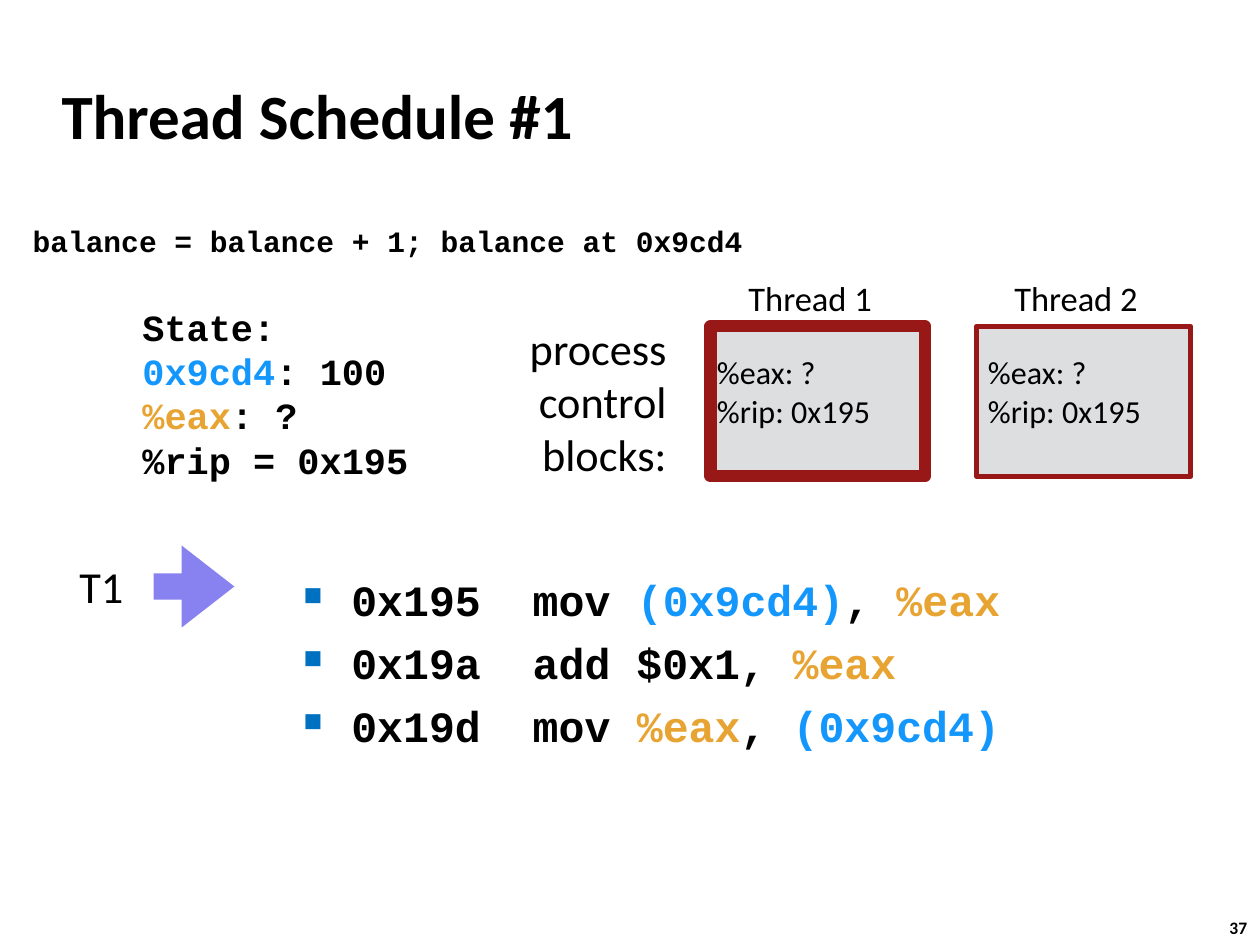
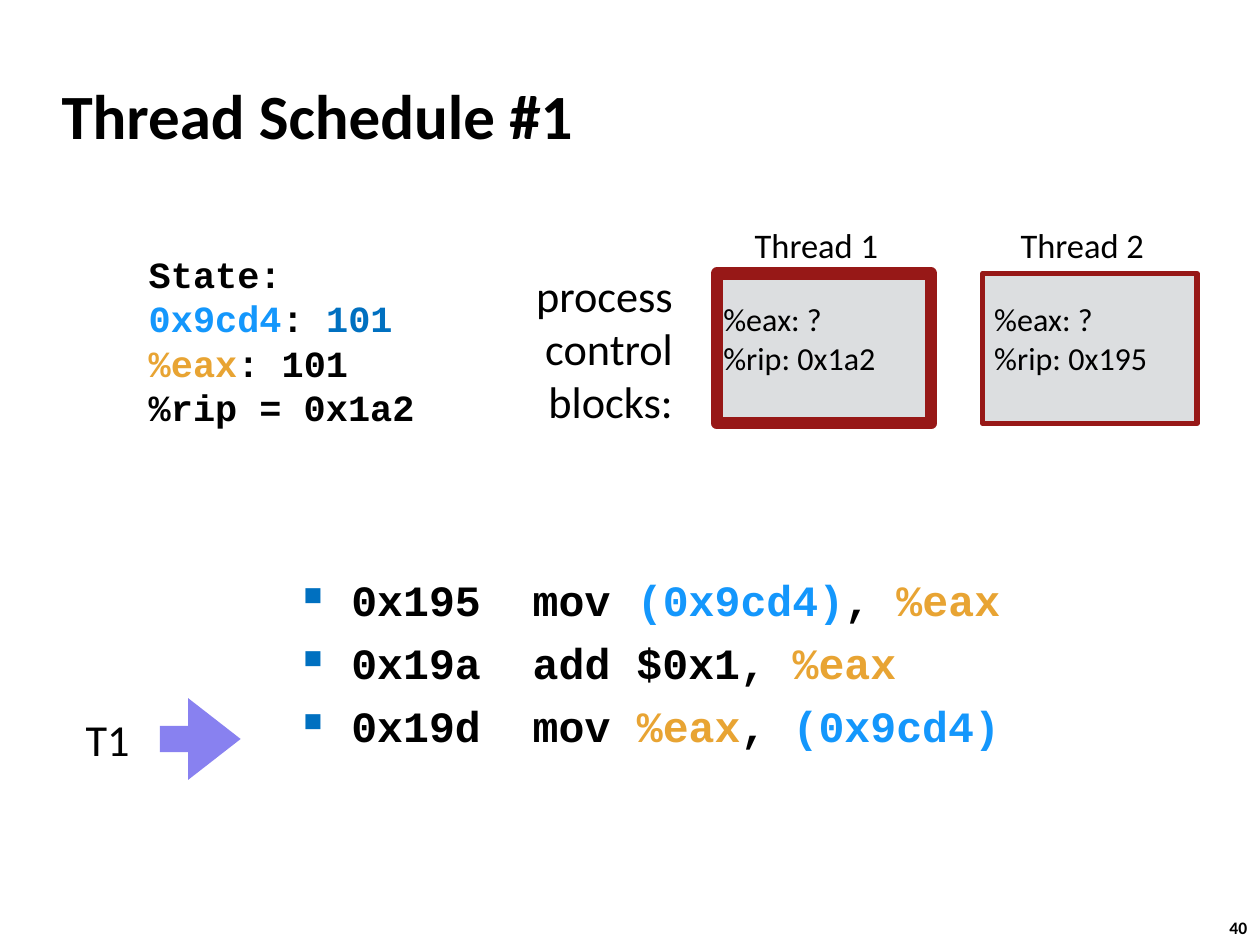
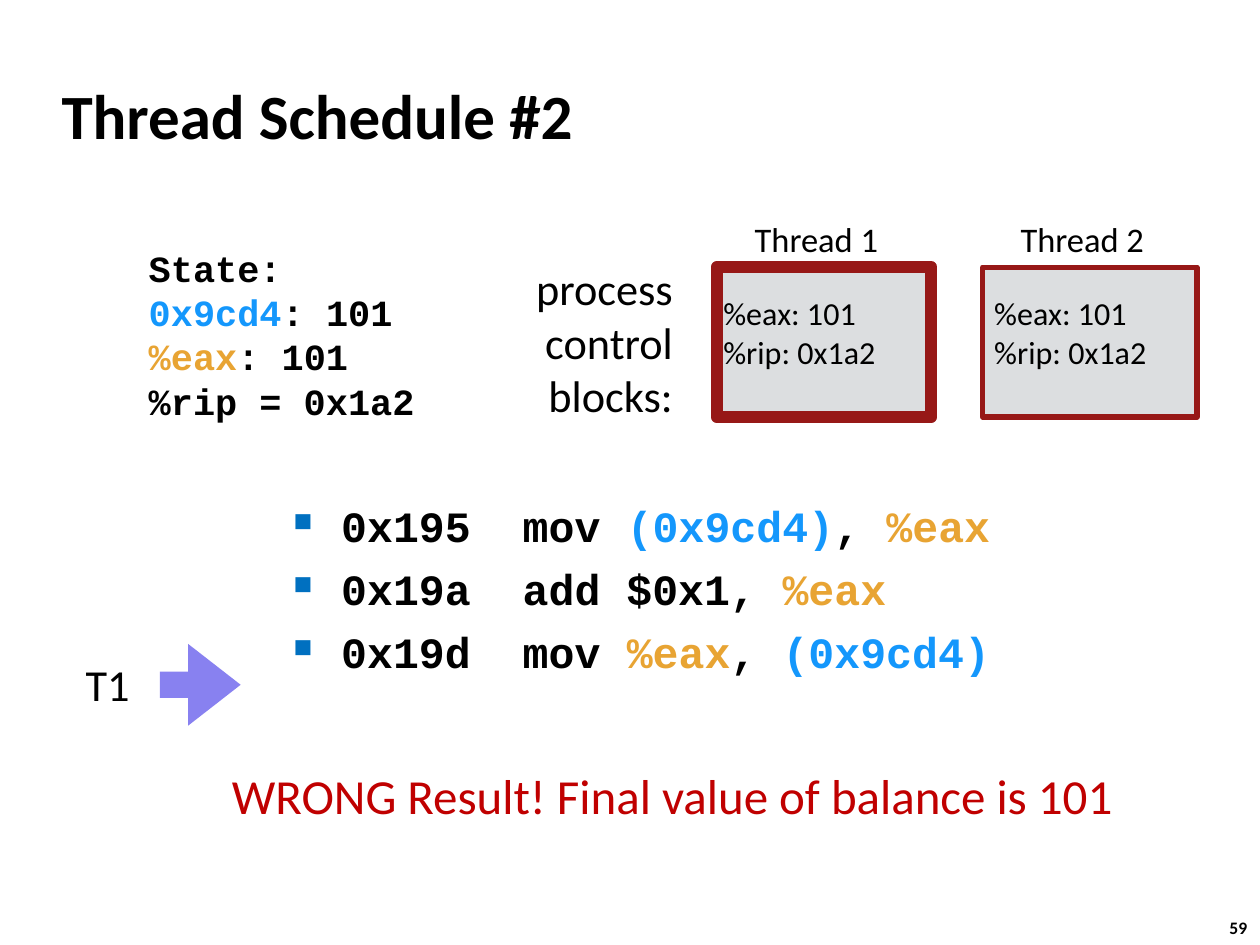
from lxml.etree import SubElement
from pptx import Presentation
from pptx.dml.color import RGBColor
from pptx.enum.shapes import MSO_SHAPE
from pptx.enum.text import MSO_ANCHOR, PP_ALIGN
from pptx.oxml.ns import qn
from pptx.util import Inches, Pt

BLACK, BLUE, DEEP_BLUE, AMBER = "000000", "1497FC", "0070C0", "E8A433"
RED, DARK_RED, GREY, VIOLET = "C00000", "971817", "DCDEE0", "8881F0"
SANS, MONO = "Calibri", "Courier New"
SNUG = (0.04, 0.04, 0.04, 0.04)
CODE = [
    [("0x195  mov ", BLACK), ("(0x9cd4)", BLUE), (", ", BLACK), ("%eax", AMBER)],
    [("0x19a  add $0x1, ", BLACK), ("%eax", AMBER)],
    [("0x19d  mov ", BLACK), ("%eax", AMBER), (", ", BLACK), ("(0x9cd4)", BLUE)],
]


def color(hex_code):
    """Turn a hex string into a colour."""
    return RGBColor.from_string(hex_code)


def add_text(slide, box, lines, size, font=SANS, bold=False, ink=BLACK, align=None,
             anchor=MSO_ANCHOR.MIDDLE, insets=SNUG, wrap=False):
    """Write lines, each a string or a list of (text, colour) runs, and return the frame."""
    frame = slide.shapes.add_textbox(*map(Inches, box)).text_frame
    frame.word_wrap = wrap
    frame.vertical_anchor = anchor
    frame.margin_left, frame.margin_top, frame.margin_right, frame.margin_bottom = map(Inches, insets)
    for index, line in enumerate(lines):
        paragraph = frame.add_paragraph() if index else frame.paragraphs[0]
        paragraph.alignment = align
        paragraph.font.name, paragraph.font.size, paragraph.font.bold = font, Pt(size), bold
        if isinstance(line, str):
            paragraph.font.color.rgb = color(ink)
            paragraph.add_run().text = line
            continue
        for text, run_ink in line:
            run = paragraph.add_run()
            run.text = text
            run.font.color.rgb = color(run_ink)
    return frame


def add_shape(slide, preset, box, fill, border=None, weight=0):
    """Draw a flat preset shape with an optional border."""
    shape = slide.shapes.add_shape(preset, *map(Inches, box))
    shape.shadow.inherit = False
    shape.fill.solid()
    shape.fill.fore_color.rgb = color(fill)
    if border:
        shape.line.color.rgb = color(border)
        shape.line.width = Pt(weight)
    else:
        shape.line.fill.background()
    return shape


def add_bullet(paragraph):
    """Give a paragraph a hanging square bullet."""
    properties = paragraph._p.get_or_add_pPr()
    properties.set("marL", str(Inches(0.38)))
    properties.set("indent", str(-Inches(0.38)))
    settings = [("a:buClr", {}), ("a:buSzPct", {"val": "60000"}), ("a:buChar", {"char": "■"})]
    elements = [properties.makeelement(qn(tag), values) for tag, values in settings]
    SubElement(elements[0], qn("a:srgbClr"), val=DEEP_BLUE)
    for position, element in enumerate(elements):
        properties.insert(position, element)


def add_code(slide, left, top):
    """List the three instructions of the balance update."""
    frame = add_text(slide, (left, top, 6.04, 1.51), CODE, 24.7, MONO, True,
                     anchor=MSO_ANCHOR.TOP, insets=(0.1, 0.13, 0.1, 0.05), wrap=True)
    for index, paragraph in enumerate(frame.paragraphs):
        add_bullet(paragraph)
        if index:
            paragraph.space_before = Pt(6.5)


def add_state(slide, left, top, balance, balance_ink, eax, rip):
    """Show the machine state in memory and registers."""
    balance_line = [("0x9cd4", BLUE), (": ", BLACK), (balance, balance_ink)]
    lines = ["State:", balance_line, [("%eax", AMBER), (f": {eax}", BLACK)], f"%rip = {rip}"]
    add_text(slide, (left, top, 2.22, 1.5), lines, 21.1, MONO, True)


def add_control_blocks(slide, left, top, threads):
    """Draw one control block per thread, the running one with a heavy border."""
    add_text(slide, (left - 1.5, top - 0.09, 1.19, 1.36), ["process", "control", "blocks:"],
             25.3, align=PP_ALIGN.RIGHT)
    for index, (eax, rip) in enumerate(threads):
        x = left + 2.11 * index
        add_shape(slide, MSO_SHAPE.RECTANGLE, (x, top, 1.7, 1.19), GREY, DARK_RED, 3 if index else 7)
        add_text(slide, (x + 0.26, top - 0.43, 1.07, 0.41), [f"Thread {index + 1}"], 19.7)
        add_text(slide, (left + 0.05 + 2.15 * index, top + 0.21, 1.22, 0.62),
                 [f"%eax: {eax}", f"%rip: {rip}"], 18.3,
                 anchor=MSO_ANCHOR.TOP, insets=(0, 0, 0, 0))


def add_pointer(slide, left, top):
    """Mark the next instruction of the running thread."""
    add_text(slide, (left - 0.63, top + 0.07, 0.43, 0.5), ["T1"], 25.3)
    arrow = add_shape(slide, MSO_SHAPE.RIGHT_ARROW, (left, top, 0.64, 0.65), VIOLET)
    arrow.adjustments[0], arrow.adjustments[1] = 0.32, 0.652


def add_schedule(deck, number, page, shift, top, state, threads, pointer_top, code_at):
    """Build one step of a thread schedule and return its slide."""
    slide = deck.slides.add_slide(deck.slide_layouts[6])
    margins = (0.1, 0.05, 0.1, 0.05)
    add_text(slide, (9.66, 7.23, 0.37, 0.27), [str(page)], 10, bold=True,
             anchor=MSO_ANCHOR.TOP, insets=margins)
    add_text(slide, (0.39, 0.49, 8.3, 0.83), [f"Thread Schedule #{number}"], 36, bold=True,
             insets=margins, wrap=True)
    add_state(slide, 1.09 + shift, top - 0.22, *state)
    add_control_blocks(slide, 5.64 + shift, top, threads)
    add_pointer(slide, 1.22 + shift, pointer_top)
    add_code(slide, *code_at)
    return slide


def main():
    """Build the three schedule steps."""
    deck = Presentation()
    deck.slide_width, deck.slide_height = Inches(10), Inches(7.5)
    start = add_schedule(deck, 1, 37, 0, 2.59, ("100", BLACK, "?", "0x195"),
                         [("?", "0x195"), ("?", "0x195")], 4.33, (2.31, 4.42))
    add_text(start, (0.16, 1.72, 6.02, 0.38), ["balance = balance + 1; balance at 0x9cd4"],
             16.9, MONO, True, anchor=MSO_ANCHOR.TOP, insets=(0.1, 0.05, 0.1, 0.05))
    add_schedule(deck, 1, 40, 0.05, 2.17, ("101", DEEP_BLUE, "101", "0x1a2"),
                 [("?", "0x1a2"), ("?", "0x195")], 5.54, (2.31, 4.42))
    wrong = add_schedule(deck, 2, 59, 0.05, 2.12, ("101", BLACK, "101", "0x1a2"),
                         [("101", "0x1a2"), ("101", "0x1a2")], 5.11, (2.23, 3.83))
    add_text(wrong, (1.8, 6.03, 7.15, 0.55), ["WRONG Result! Final value of balance is 101"],
             28, ink=RED)
    deck.save("out.pptx")


if __name__ == "__main__":
    main()
